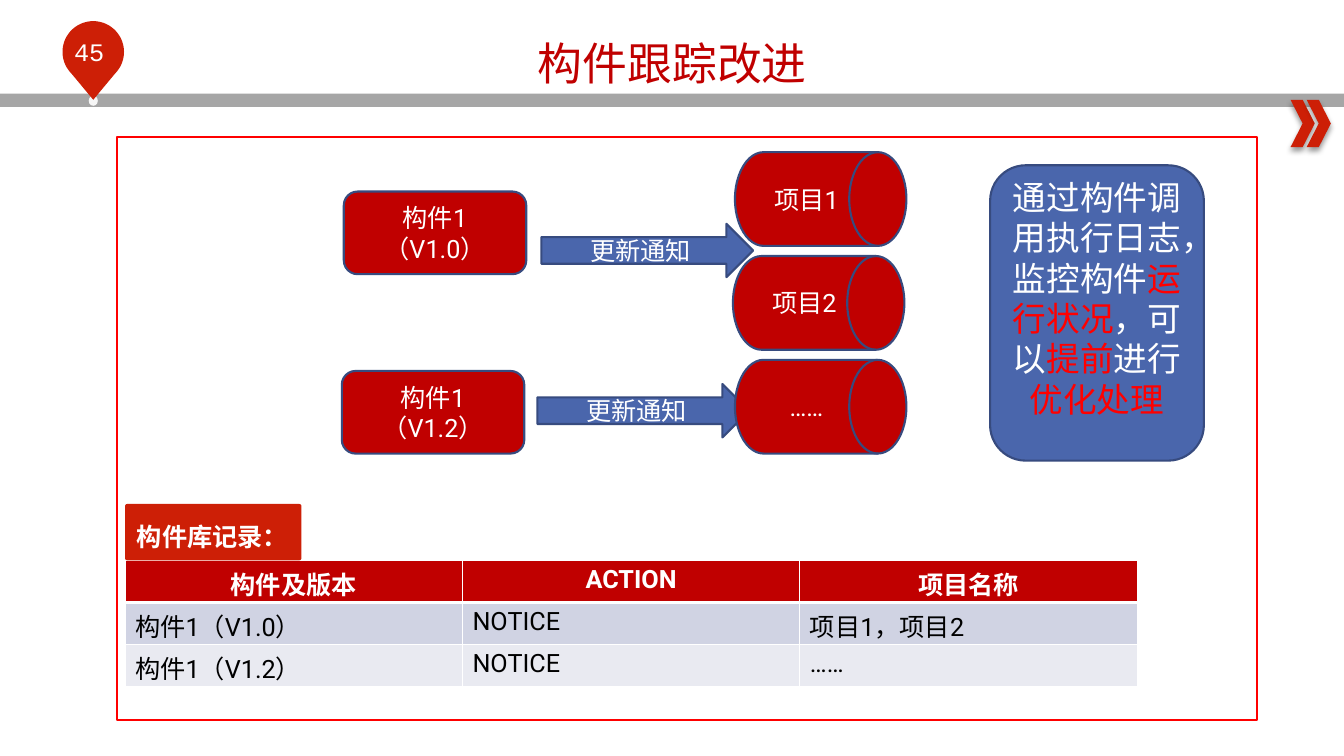
from math import cos, radians, sin

from lxml.etree import SubElement
from pptx import Presentation
from pptx.dml.color import RGBColor
from pptx.enum.shapes import MSO_SHAPE
from pptx.enum.text import MSO_ANCHOR, PP_ALIGN
from pptx.oxml.ns import qn
from pptx.util import Inches, Pt

WHITE = RGBColor(0xFF, 0xFF, 0xFF)
BLACK = RGBColor(0, 0, 0)
GRAY = RGBColor(0xA6, 0xA6, 0xA6)
PALE = RGBColor(0xF6, 0xF6, 0xF6)
RED = RGBColor(0xFF, 0, 0)
DARK_RED = RGBColor(0xC0, 0, 0)
PIN_RED = RGBColor(0xCD, 0x1F, 0x06)
BLUE = RGBColor(0x4A, 0x66, 0xAC)
NAVY = RGBColor(0x37, 0x4B, 0x7F)
ROW_FILLS = (DARK_RED, RGBColor(0xD0, 0xD3, 0xE3), RGBColor(0xE9, 0xEA, 0xF1))
LATIN, CHINESE, MONO = "Roboto", "Noto Sans CJK SC", "Courier New"
RECORDS = (
    ("构件及版本", "ACTION", "项目名称"),
    ("构件1（V1.0）", "NOTICE", "项目1，项目2"),
    ("构件1（V1.2）", "NOTICE", "……"),
)


def write(frame, spans, size=18, font=LATIN, bold=False, align=PP_ALIGN.CENTER):
    """Fill the first paragraph with (text, colour) spans."""
    frame.word_wrap = True
    para = frame.paragraphs[0]
    para.alignment = align
    for text, color in spans:
        span = para.add_run()
        span.text = text
        span.font.size = Pt(size)
        span.font.name = font
        span.font.bold = bold
        span.font.color.rgb = color
        SubElement(span.font._element, qn("a:ea"), typeface=CHINESE)
    return para


def paint(shape, fill=None, line=None):
    """Set fill and outline and remove the theme shadow."""
    shape.shadow.inherit = False
    if fill is None:
        shape.fill.background()
    else:
        shape.fill.solid()
        shape.fill.fore_color.rgb = fill
    if line is None:
        shape.line.fill.background()
    else:
        shape.line.color.rgb = line
        shape.line.width = Pt(1.5)
    return shape


def add_block(page, kind, box, fill=None, line=None, spans=()):
    """Add a preset shape with optional middle-anchored text."""
    shape = paint(page.shapes.add_shape(kind, *map(Inches, box)), fill, line)
    if spans:
        shape.text_frame.vertical_anchor = MSO_ANCHOR.MIDDLE
        write(shape.text_frame, spans)
    return shape


def add_label(page, box, text, color, **style):
    """Add a text box holding one span."""
    label = page.shapes.add_textbox(*map(Inches, box))
    return write(label.text_frame, [(text, color)], **style)


def add_drop_shadow(shape):
    """Give a shape a soft shadow that falls straight down."""
    effects = shape._element.spPr.find(qn("a:effectLst"))
    shadow = SubElement(effects, qn("a:outerShdw"), blurRad=str(Pt(4)),
                        dist=str(Pt(3)), dir="5400000", rotWithShape="0")
    color = SubElement(shadow, qn("a:srgbClr"), val="000000")
    SubElement(color, qn("a:alpha"), val="40000")


def add_pin(page, left, top, width, height):
    """Draw the page-number pin as a circle running down to a tip."""
    radius = width / 2
    center = left + radius
    arc = [(Inches(center + radius * cos(radians(angle))),
            Inches(top + radius + radius * sin(radians(angle))))
           for angle in range(135, 406, 5)]
    builder = page.shapes.build_freeform(Inches(center), Inches(top + height))
    builder.add_line_segments(arc, close=True)
    paint(builder.convert_to_shape(), PIN_RED)


def add_header(page, left, top, width):
    """Place the band, chevrons, numbered pin and title."""
    add_block(page, MSO_SHAPE.RECTANGLE, (left, top + 0.93, width, 0.13), GRAY)
    for step in range(2):
        box = (left + 12.8 + 0.16 * step, top + 0.99, 0.24, 0.47)
        add_drop_shadow(add_block(page, MSO_SHAPE.CHEVRON, box, PIN_RED))
    add_block(page, MSO_SHAPE.OVAL, (left + 0.88, top + 0.95, 0.09, 0.1), PALE)
    add_pin(page, left + 0.62, top + 0.21, 0.61, 0.78)
    add_label(page, (left + 0.45, top + 0.31, 0.87, 0.4), "45", WHITE, font=MONO)
    add_label(page, (left + 0.67, top + 0.3, 12, 0.81), "构件跟踪改进", DARK_RED,
              size=32, font=CHINESE)


def add_flow(page, left, top):
    """Place the component versions, notice arrows and project drums."""
    versions = (("构件1（V1.0）", 0.02, 0.39), ("构件1（V1.2）", 0, 2.17))
    for text, x, y in versions:
        add_block(page, MSO_SHAPE.ROUNDED_RECTANGLE, (left + x, top + y, 1.81, 0.82),
                  DARK_RED, NAVY, [(text, WHITE)])
    for x, y in ((1.98, 0.71), (1.94, 2.3)):
        add_block(page, MSO_SHAPE.RIGHT_ARROW, (left + x, top + y, 2.1, 0.53),
                  BLUE, NAVY, [("更新通知", WHITE)])
    projects = (("项目1", 3.9), ("项目2", 3.88), ("……", 3.9))
    for index, (text, x) in enumerate(projects):
        add_block(page, MSO_SHAPE.FLOWCHART_DIRECT_ACCESS_STORAGE,
                  (left + x, top + 1.03 * index, 1.7, 0.93),
                  DARK_RED, NAVY, [(text, WHITE)])


def add_monitor_note(page, *box):
    """Place the note on monitoring, with key words in red."""
    note = add_block(page, MSO_SHAPE.ROUNDED_RECTANGLE, box, BLUE, NAVY)
    frame = note.text_frame
    frame.vertical_anchor = MSO_ANCHOR.MIDDLE
    frame.margin_bottom = Inches(0.35)
    write(frame, [("通过构件调用执行日志，监控构件", WHITE), ("运行状况", RED),
                  ("，可以", WHITE), ("提前", RED), ("进行", WHITE),
                  ("优化处理", RED)], size=24)


def add_border(cell, side, width):
    """Draw one white cell border."""
    line = SubElement(cell._tc.get_or_add_tcPr(), qn(f"a:{side}"), w=str(Pt(width)))
    SubElement(SubElement(line, qn("a:solidFill")), qn("a:srgbClr"), val="FFFFFF")


def add_records(page, left, top, width, height):
    """Place the record table and its heading tab."""
    graphic = page.shapes.add_table(len(RECORDS), 3, *map(Inches, (left, top, width, height)))
    for row, texts in enumerate(RECORDS):
        heading = row == 0
        for column, text in enumerate(texts):
            cell = graphic.table.cell(row, column)
            for side in ("lnL", "lnR", "lnT", "lnB"):
                thick = (row, side) in ((0, "lnB"), (1, "lnT"))
                add_border(cell, side, 3 if thick else 1)
            cell.fill.solid()
            cell.fill.fore_color.rgb = ROW_FILLS[row]
            write(cell.text_frame, [(text, WHITE if heading else BLACK)], bold=heading,
                  align=PP_ALIGN.CENTER if heading else PP_ALIGN.LEFT)
    tab = add_block(page, MSO_SHAPE.ROUNDED_RECTANGLE, (left, top - 0.56, 1.75, 0.56), PIN_RED)
    tab.adjustments[0] = 0.04
    para = add_label(page, (left + 0.02, top - 0.53, 1.71, 0.49), "构件库记录：", WHITE,
                     font=CHINESE, bold=True, align=PP_ALIGN.LEFT)
    para.line_spacing = 1.3


def main():
    """Build and save the slide."""
    deck = Presentation()
    deck.slide_width, deck.slide_height = Inches(13.33), Inches(7.5)
    page = deck.slides.add_slide(deck.slide_layouts[6])
    add_header(page, 0, 0, 13.33)
    add_block(page, MSO_SHAPE.RECTANGLE, (1.16, 1.36, 11.31, 5.78), line=RED)
    add_records(page, 1.24, 5.56, 10.04, 1.25)
    add_flow(page, 3.39, 1.51)
    add_monitor_note(page, 9.82, 1.64, 2.12, 2.93)
    deck.save("out.pptx")


if __name__ == "__main__":
    main()
